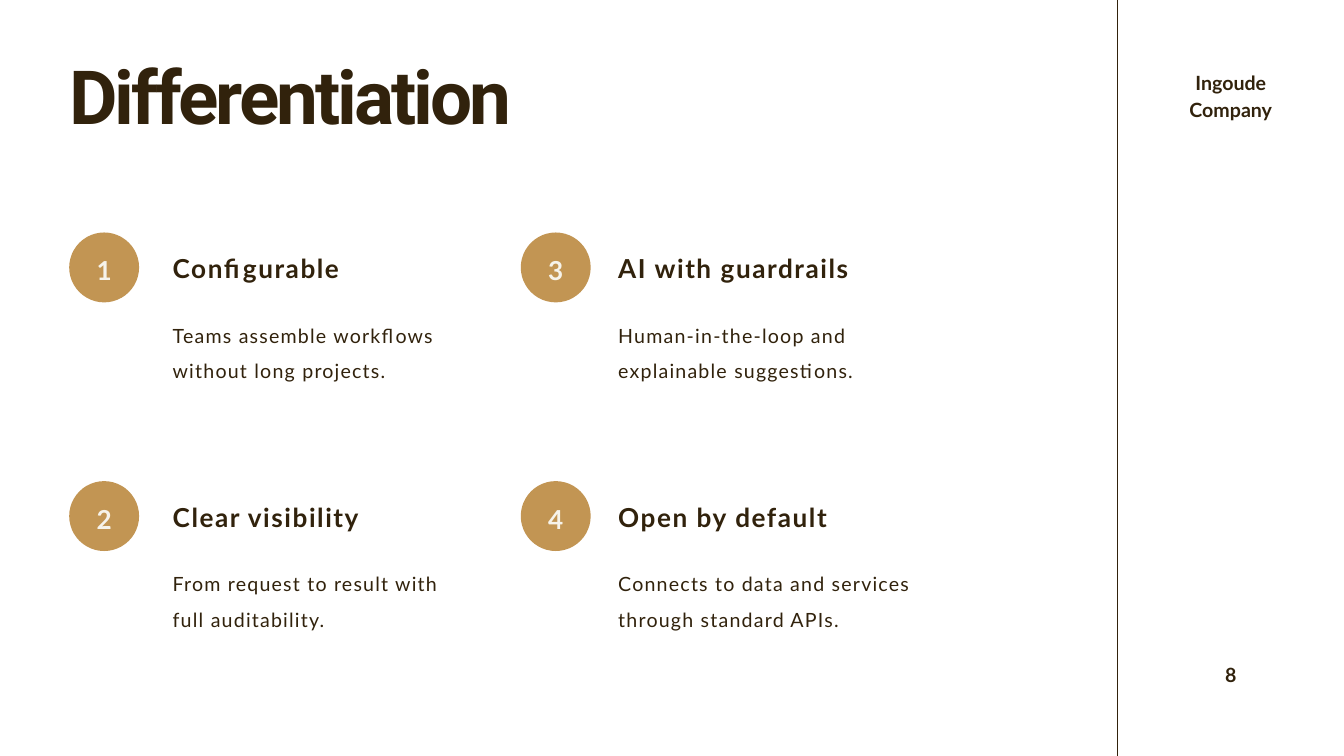
from pptx import Presentation
from pptx.dml.color import RGBColor
from pptx.enum.shapes import MSO_CONNECTOR, MSO_SHAPE
from pptx.enum.text import MSO_ANCHOR, MSO_AUTO_SIZE, PP_ALIGN
from pptx.oxml.ns import qn
from pptx.util import Inches, Pt
from lxml import etree

WHITE = RGBColor(0xFF, 0xFF, 0xFF)
BROWN = RGBColor(0x31, 0x22, 0x0C)
GOLD = RGBColor(0xC2, 0x95, 0x53)
CREAM = RGBColor(0xF6, 0xF3, 0xEA)

# Columns: badge left, text left, text width
COLUMNS = [(1.03, 2.57, 4), (7.75, 9.2, 5.04)]
FIRST_ROW, ROW_STEP = 3.46, 3.7
BADGE_SIZE = 1.04

# Read down the first column, then down the second
POINTS = [
    ("Configurable", "Teams assemble workflows without long projects."),
    ("Clear visibility", "From request to result with full auditability."),
    ("AI with guardrails", "Human‑in‑the‑loop and explainable suggestions."),
    ("Open by default", "Connects to data and services through standard APIs."),
]


def write_text(frame, text, size, leading, font="Lato", color=BROWN,
               bold=True, tracking=0, align=PP_ALIGN.LEFT):
    """Fill a frame with one run; leading and tracking are in points."""
    frame.margin_left = frame.margin_right = 0
    frame.margin_top = frame.margin_bottom = 0
    frame.word_wrap = True
    paragraph = frame.paragraphs[0]
    paragraph.alignment = align
    paragraph.line_spacing = Pt(leading)
    run = paragraph.add_run()
    run.text = text
    run.font.name = font
    run.font.size = Pt(size)
    run.font.bold = bold
    run.font.color.rgb = color
    if tracking:
        run._r.get_or_add_rPr().set("spc", str(round(tracking * 100)))


def add_text(slide, left, top, width, height, text, size, leading, **style):
    box = slide.shapes.add_textbox(
        Inches(left), Inches(top), Inches(width), Inches(height))
    write_text(box.text_frame, text, size, leading, **style)
    box.text_frame.auto_size = MSO_AUTO_SIZE.SHAPE_TO_FIT_TEXT


def add_badge(slide, left, top, number):
    badge = slide.shapes.add_shape(
        MSO_SHAPE.OVAL, Inches(left), Inches(top),
        Inches(BADGE_SIZE), Inches(BADGE_SIZE))
    badge.shadow.inherit = False
    badge.fill.solid()
    badge.fill.fore_color.rgb = GOLD
    badge.line.fill.background()
    write_text(badge.text_frame, str(number), 28, 39.2, color=CREAM,
               tracking=1.7, align=PP_ALIGN.CENTER)
    badge.text_frame.vertical_anchor = MSO_ANCHOR.MIDDLE


def add_point(slide, index, heading, detail):
    column, row = divmod(index, 2)
    badge_left, text_left, text_width = COLUMNS[column]
    top = FIRST_ROW + row * ROW_STEP
    add_badge(slide, badge_left, top, index + 1)
    add_text(slide, text_left, top + 0.22, text_width, 0.54, heading,
             28, 39.2, tracking=1.7)
    add_text(slide, text_left, top + 1.18, text_width, 1, detail,
             21, 37.8, bold=False, tracking=1.3)


def add_divider(slide, x, height):
    divider = slide.shapes.add_connector(
        MSO_CONNECTOR.STRAIGHT, Inches(x), 0, Inches(x), height)
    divider.line.color.rgb = BROWN
    divider.line.width = Pt(0.75)
    etree.SubElement(divider._element.spPr, qn("a:effectLst"))


def main():
    deck = Presentation()
    deck.slide_width, deck.slide_height = Inches(20), Inches(11.25)
    slide = deck.slides.add_slide(deck.slide_layouts[6])
    slide.background.fill.solid()
    slide.background.fill.fore_color.rgb = WHITE

    add_divider(slide, 16.63, deck.slide_height)
    add_text(slide, 1.03, 1.18, 9.75, 1, "Differentiation", 80, 64,
             font="Roboto", tracking=-3.2)
    add_text(slide, 17.35, 0.99, 1.93, 0.81, "Ingoude Company", 21, 29.4,
             align=PP_ALIGN.CENTER)
    add_text(slide, 17.35, 9.81, 1.93, 0.4, "8", 21, 29.4,
             tracking=4.2, align=PP_ALIGN.CENTER)
    for index, (heading, detail) in enumerate(POINTS):
        add_point(slide, index, heading, detail)

    deck.save("out.pptx")


if __name__ == "__main__":
    main()
